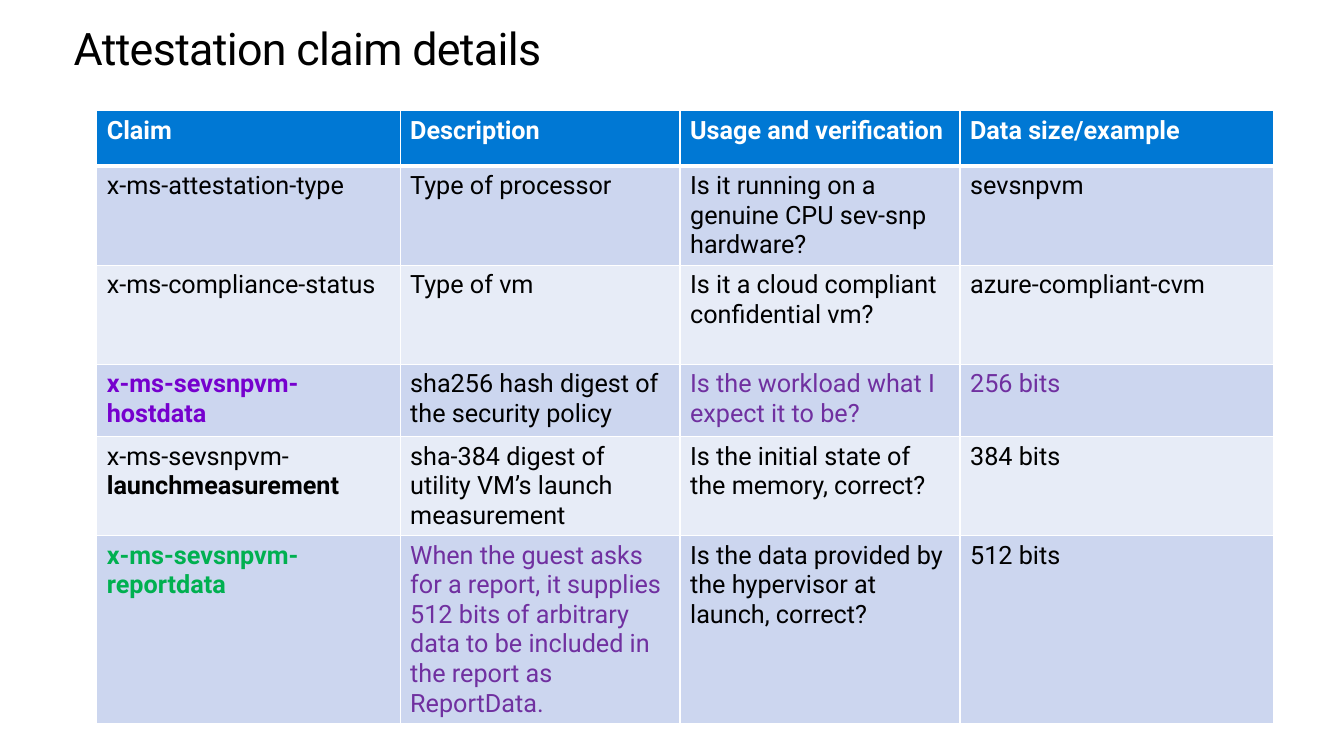
from lxml.etree import SubElement
from pptx import Presentation
from pptx.dml.color import RGBColor
from pptx.enum.text import MSO_ANCHOR, MSO_AUTO_SIZE, PP_ALIGN
from pptx.oxml import parse_xml
from pptx.oxml.ns import nsdecls
from pptx.util import Pt

WHITE, BLACK, BLUE = "FFFFFF", "000000", "0078D4"
BANDS = ["CCD6EF", "E7ECF7"]
VIOLET, PURPLE, GREEN = "7600CE", "7030A0", "00B050"

COL_WIDTHS = [216.7, 200, 200, 224]
ROW_HEIGHTS = [39.6, 70.8, 70.8, 51.6, 70.8, 133]

# A cell is plain text or a list of (text, colour, bold) runs.
ROWS = [
    ["Claim", "Description", "Usage and verification", "Data size/example"],
    ["x-ms-attestation-type", "Type of processor",
     "Is it running on a genuine CPU sev-snp hardware?", "sevsnpvm"],
    ["x-ms-compliance-status", "Type of vm",
     "Is it a cloud compliant confidential vm?", "azure-compliant-cvm"],
    [[("x-ms-sevsnpvm-hostdata", VIOLET, True)],
     "sha256 hash digest of the security policy",
     [("Is the workload what I expect it to be?", PURPLE, False)],
     [("256 bits", PURPLE, False)]],
    [[("x-ms-sevsnpvm-", BLACK, False), ("launchmeasurement", BLACK, True)],
     "sha-384 digest of utility VM’s launch measurement",
     "Is the initial state of the memory, correct?", "384 bits"],
    [[("x-ms-sevsnpvm-reportdata", GREEN, True)],
     [("When the guest asks for a report, it supplies 512 bits of arbitrary "
       "data to be included in the report as ReportData.", PURPLE, False)],
     "Is the data provided by the hypervisor at launch, correct?", "512 bits"],
]


def rgb(color):
    return RGBColor.from_string(color)


def add_run(p, text, color, size, bold=False):
    r = p.add_run()
    r.text = text
    for name, value in {"name": "Roboto", "size": Pt(size), "bold": bold}.items():
        setattr(r.font, name, value)
    r.font.color.rgb = rgb(color)
    return r


def set_borders(cell, widths):
    """Draw white borders; widths maps L, R, T and B to points."""
    tcPr = cell._tc.get_or_add_tcPr()
    for i, side in enumerate("LRTB"):
        ln = parse_xml(f'<a:ln{side} {nsdecls("a")} w="{Pt(widths[side])}"/>')
        fill = SubElement(ln, "{http://schemas.openxmlformats.org/drawingml/2006/main}solidFill")
        SubElement(fill, "{http://schemas.openxmlformats.org/drawingml/2006/main}srgbClr", val=WHITE)
        tcPr.insert(i, ln)


def add_title(s, text, left, top, width, height):
    sp = s.shapes.title
    box = {"left": left, "top": top, "width": width, "height": height}
    for name, value in box.items():
        setattr(sp, name, Pt(value))
    tf = sp.text_frame
    layout = {"word_wrap": True, "auto_size": MSO_AUTO_SIZE.NONE,
              "vertical_anchor": MSO_ANCHOR.TOP}
    for name, value in layout.items():
        setattr(tf, name, value)
    p = tf.paragraphs[0]
    p.alignment = PP_ALIGN.LEFT
    r = add_run(p, text, BLACK, 32)
    r.font._element.set("spc", "-50")


def add_claim_table(s, left, top):
    frame = s.shapes.add_table(len(ROWS), len(COL_WIDTHS), Pt(left), Pt(top),
                               Pt(sum(COL_WIDTHS)), Pt(sum(ROW_HEIGHTS)))
    table = frame.table
    for column, width in zip(table.columns, COL_WIDTHS):
        column.width = Pt(width)
    for i, (row, height) in enumerate(zip(table.rows, ROW_HEIGHTS)):
        row.height = Pt(height)
        header = i == 0
        for cell, content in zip(row.cells, ROWS[i]):
            cell.fill.solid()
            cell.fill.fore_color.rgb = rgb(BLUE if header else BANDS[(i - 1) % 2])
            set_borders(cell, {"L": 1, "R": 1, "T": 3 if i == 1 else 1,
                               "B": 3 if header else 1})
            if isinstance(content, str):
                content = [(content, WHITE if header else BLACK, header)]
            for text, color, bold in content:
                add_run(cell.text_frame.paragraphs[0], text, color, 18, bold)


def main():
    prs = Presentation()
    prs.slide_width, prs.slide_height = Pt(960), Pt(540)
    s = prs.slides.add_slide(prs.slide_layouts[5])
    add_title(s, "Attestation claim details", 45.4, 11.5, 766.8, 46)
    add_claim_table(s, 69.1, 79.2)
    prs.save("out.pptx")


if __name__ == "__main__":
    main()
